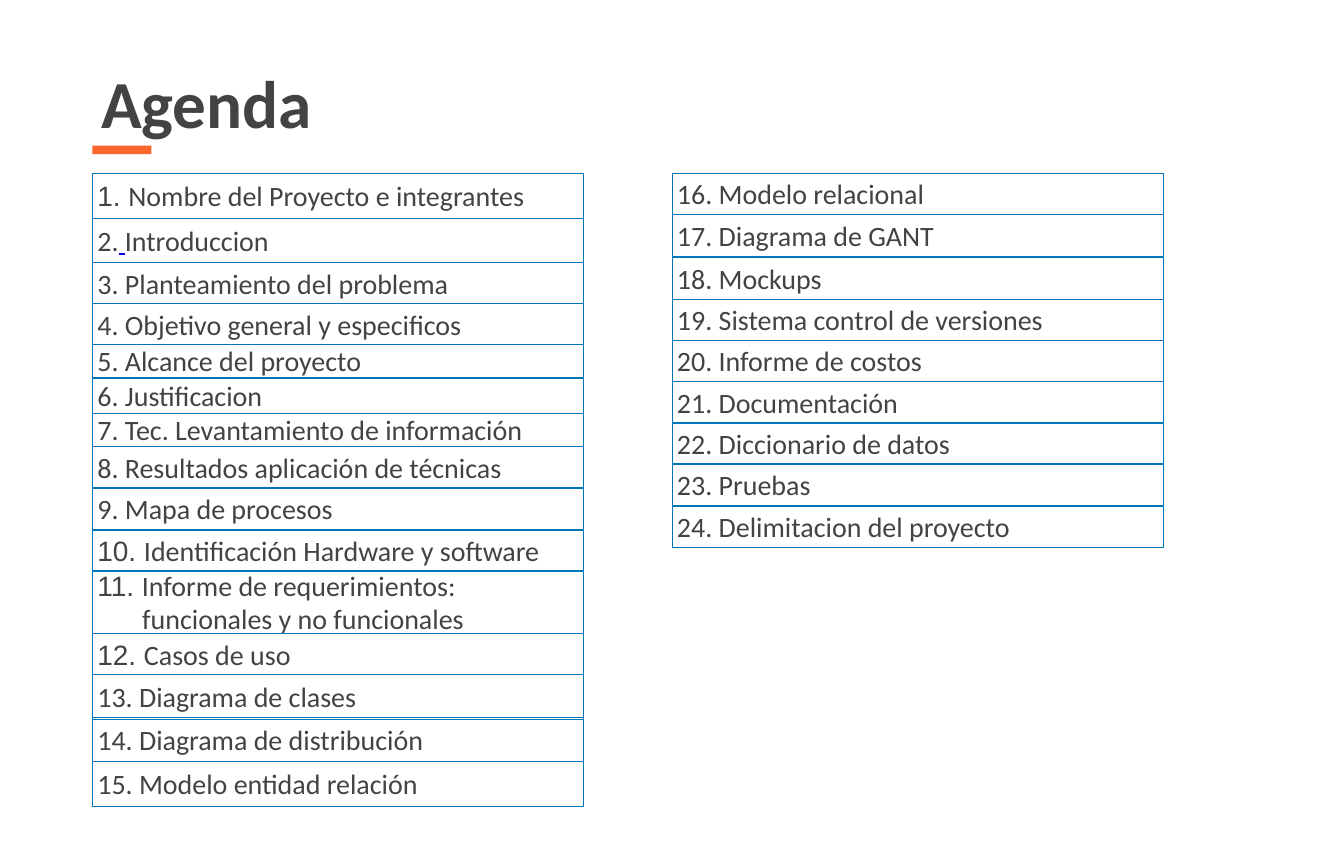
from dataclasses import dataclass

from pptx import Presentation
from pptx.dml.color import RGBColor
from pptx.enum.shapes import MSO_SHAPE
from pptx.enum.text import MSO_ANCHOR, MSO_AUTO_SIZE, PP_ALIGN
from pptx.util import Pt


@dataclass(frozen=True)
class Theme:
    text: RGBColor = RGBColor(0x43, 0x43, 0x43)
    accent: RGBColor = RGBColor(0xFC, 0x67, 0x2D)
    border: RGBColor = RGBColor(0x00, 0x76, 0xBA)
    link: RGBColor = RGBColor(0x00, 0x00, 0xFF)
    font: str = "Calibri"
    number_font: str = "Arial"
    title_size: float = 96
    item_size: float = 40
    border_width: float = 0.5


@dataclass(frozen=True)
class Item:
    text: str
    height: float
    gap: float = 0
    arial_number: bool = False
    linked_space: bool = False


THEME = Theme()
HANGING_INDENT = 64
COLUMN_WIDTH = 701.3

LEFT_ITEMS = [
    Item("Nombre del Proyecto e integrantes", 63.4, arial_number=True),
    Item("Introduccion", 63.4, 0.7, linked_space=True),
    Item("Planteamiento del problema", 58.3),
    Item("Objetivo general y especificos", 58.3),
    Item("Alcance del proyecto", 46.8, 2.1),
    Item("Justificacion", 49),
    Item("Tec. Levantamiento de información", 48.2),
    Item("Resultados aplicación de técnicas", 58.3, 0.8),
    Item("Mapa de procesos", 58.3, 1.4),
    Item("Identificación Hardware y software", 58.3, 0.7, arial_number=True),
    Item("Informe de requerimientos:\nfuncionales y no funcionales", 88.6, 0.7, arial_number=True),
    Item("Casos de uso", 58.3, arial_number=True),
    Item("Diagrama de clases", 63.4, -2.2),
    Item("Diagrama de distribución", 63.4),
    Item("Modelo entidad relación", 63.4),
]

RIGHT_ITEMS = [
    Item("Modelo relacional", 58.3),
    Item("Diagrama de GANT", 60.5, 0.7),
    Item("Mockups", 60.5),
    Item("Sistema control de versiones", 58.3),
    Item("Informe de costos", 58.3, 0.7),
    Item("Documentación", 58.3, 0.7),
    Item("Diccionario de datos", 58.3, 0.7),
    Item("Pruebas", 58.3, 1.4),
    Item("Delimitacion del proyecto", 58.3),
]


def add_rectangle(slide, left, top, width, height):
    shape = slide.shapes.add_shape(
        MSO_SHAPE.RECTANGLE, Pt(left), Pt(top), Pt(width), Pt(height))
    shape.shadow.inherit = False
    return shape


def add_heading(slide, left, top, width, height):
    title = slide.shapes.title
    title.left, title.top, title.width, title.height = map(Pt, (left, top, width, height))
    frame = title.text_frame
    frame.text = "Agenda"
    frame.word_wrap = True
    frame.auto_size = MSO_AUTO_SIZE.NONE
    frame.vertical_anchor = MSO_ANCHOR.BOTTOM
    frame.margin_left = frame.margin_right = Pt(5.76)
    frame.margin_top = frame.margin_bottom = Pt(5.76)
    paragraph = frame.paragraphs[0]
    paragraph.alignment = PP_ALIGN.CENTER
    paragraph.line_spacing = 0.8
    paragraph.font.name = THEME.font
    paragraph.font.size = Pt(THEME.title_size)
    paragraph.font.bold = True
    paragraph.font.color.rgb = THEME.text

    underline = add_rectangle(slide, left, top + height, 84.2, 12.2)
    underline.fill.solid()
    underline.fill.fore_color.rgb = THEME.accent
    underline.line.fill.background()


def format_item_paragraph(paragraph):
    paragraph.alignment = PP_ALIGN.LEFT
    paragraph.font.name = THEME.font
    paragraph.font.size = Pt(THEME.item_size)
    paragraph.font.color.rgb = THEME.text


def add_run(paragraph, text):
    run = paragraph.add_run()
    run.text = text
    return run


def add_item(slide, item, number, left, top, width):
    shape = add_rectangle(slide, left, top, width, item.height)
    shape.fill.background()
    shape.line.color.rgb = THEME.border
    shape.line.width = Pt(THEME.border_width)
    frame = shape.text_frame
    frame.word_wrap = True
    frame.vertical_anchor = MSO_ANCHOR.MIDDLE

    first_line, *other_lines = item.text.split("\n")
    paragraph = frame.paragraphs[0]
    format_item_paragraph(paragraph)
    if item.linked_space:
        add_run(paragraph, f"{number}.")
        space = add_run(paragraph, " ")
        space.font.underline = True
        space.font.color.rgb = THEME.link
        add_run(paragraph, first_line)
    elif item.arial_number:
        add_run(paragraph, f"{number}. ").font.name = THEME.number_font
        add_run(paragraph, first_line)
    else:
        add_run(paragraph, f"{number}. {first_line}")

    for line in other_lines:
        paragraph = frame.add_paragraph()
        format_item_paragraph(paragraph)
        paragraph._p.get_or_add_pPr().set("marL", str(Pt(HANGING_INDENT)))
        add_run(paragraph, line)


def add_item_column(slide, items, first_number, left, top, width):
    for number, item in enumerate(items, first_number):
        add_item(slide, item, number, left, top, width)
        top += item.height + item.gap


def main():
    presentation = Presentation()
    presentation.slide_width = Pt(1920)
    presentation.slide_height = Pt(1240)
    slide = presentation.slides.add_slide(presentation.slide_layouts.get_by_name("Title Only"))
    add_heading(slide, 132, 115.2, 326.2, 92.9)
    add_item_column(slide, LEFT_ITEMS, 1, 132, 247.7, COLUMN_WIDTH)
    add_item_column(slide, RIGHT_ITEMS, len(LEFT_ITEMS) + 1, 960, 247.7, COLUMN_WIDTH)
    presentation.save("out.pptx")


if __name__ == "__main__":
    main()
